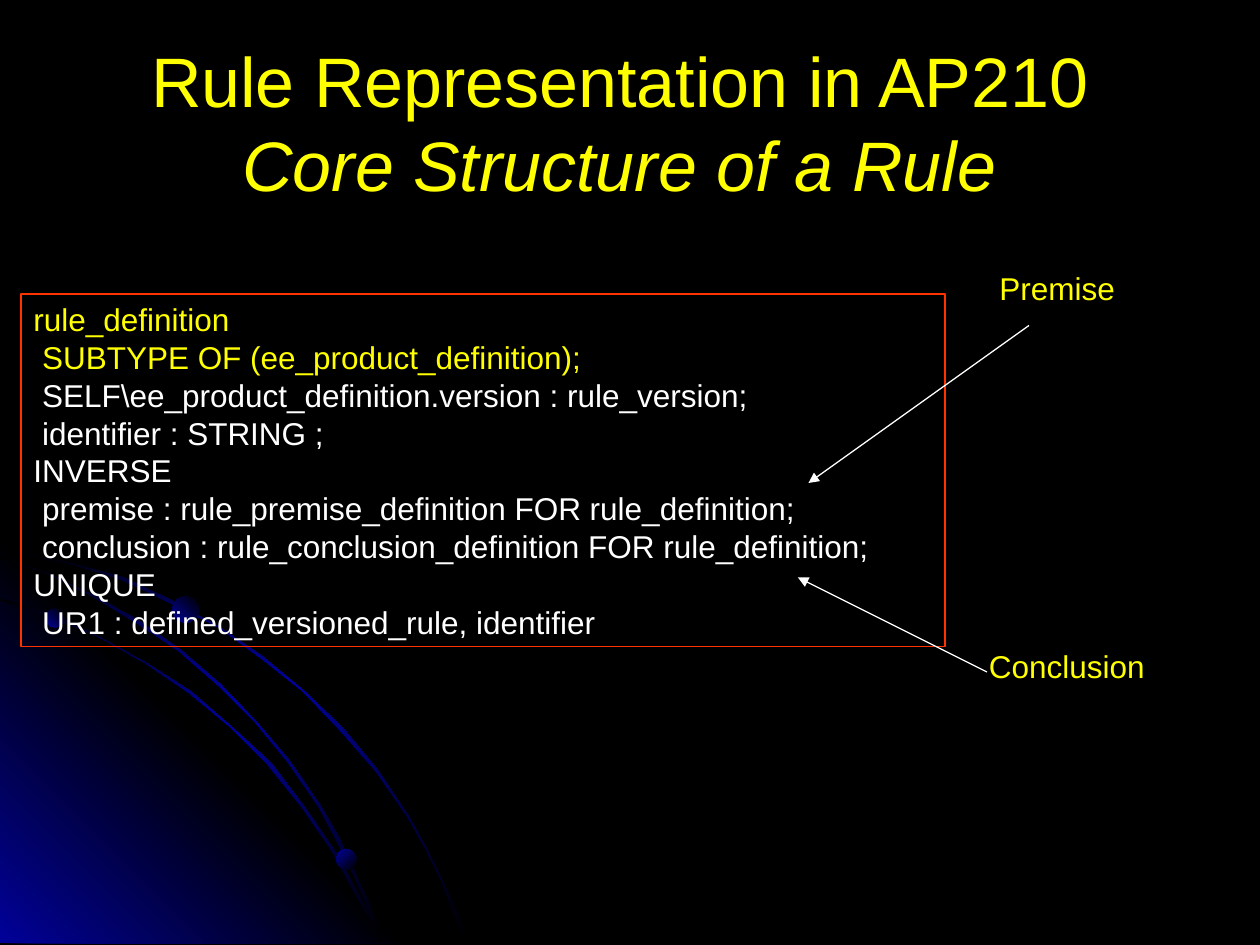
from lxml.etree import SubElement
from pptx import Presentation
from pptx.dml.color import RGBColor
from pptx.enum.shapes import MSO_CONNECTOR, MSO_SHAPE
from pptx.enum.text import MSO_ANCHOR, PP_ALIGN
from pptx.oxml.ns import qn
from pptx.util import Pt

YELLOW, WHITE, BLACK, BLUE, RED = "FFFF00", "FFFFFF", "000000", "010199", "FF3300"

TITLE = [("Rule Representation in AP210", False), ("Core Structure of a Rule", True)]
CODE = [
    ("rule_definition", YELLOW),
    (" SUBTYPE OF (ee_product_definition);", YELLOW),
    (" SELF\\ee_product_definition.version : rule_version;", WHITE),
    (" identifier : STRING ;", WHITE),
    ("INVERSE", WHITE),
    (" premise : rule_premise_definition FOR rule_definition;", WHITE),
    (" conclusion : rule_conclusion_definition FOR rule_definition;", WHITE),
    ("UNIQUE", WHITE),
    (" UR1 : defined_versioned_rule, identifier", WHITE),
]
LABELS = [("Premise", (564, 150, 96, 28.8)), ("Conclusion", (558, 366, 120, 28.8))]
ARROWS = [(588, 186, 462, 276), (564, 384, 456, 330)]

OUTER_ARC = [(0, 313.2), (20.2, 317.5), (41, 321.8), (70.6, 330.5), (97.9, 343.4),
             (125.3, 357.8), (150.5, 375.1), (174.2, 394.6), (195.8, 416.2), (216, 439.9),
             (234, 466.6), (244.1, 484.6), (253.4, 502.6), (260.6, 520.6), (267.8, 538.6)]
INNER_ARC = [(0, 342), (29.5, 351.4), (56.9, 363.6), (84.2, 378.7), (109.4, 395.3),
             (132.5, 414.7), (154.8, 436.3), (174.2, 460.8), (191.5, 486.7), (205.9, 512.6),
             (213.1, 525.6), (218.2, 538.6)]
MIDDLE_ARC = [(0, 318.2), (28.1, 327.6), (54.7, 340.6), (79.9, 355), (103.7, 371.5),
              (126, 391), (146.9, 412.6), (164.9, 434.2), (182.9, 460.1), (193.7, 478.8),
              (203, 499), (211.7, 518.4), (218.2, 538.6)]
CORNER = [(0, 307.4), (231.8, 539.3), (0, 539.3)]
PLANETS = [(25.9, 347.8, 10.8, 135), (192.2, 485.3, 11.5, 225), (98.6, 340.6, 15.1, 135)]


def color(value):
    return RGBColor.from_string(value)


def shade(shape, colors, angle):
    shape.shadow.inherit = False
    shape.line.fill.background()
    shape.fill.background()
    properties = shape._element.spPr
    empty = properties.find(qn("a:noFill"))
    gradient = empty.makeelement(qn("a:gradFill"), {"rotWithShape": "1"})
    properties.replace(empty, gradient)
    stops = SubElement(gradient, qn("a:gsLst"))
    for index, value in enumerate(colors):
        position = index * 100000 // (len(colors) - 1)
        stop = SubElement(stops, qn("a:gs"), pos=str(position))
        SubElement(stop, qn("a:srgbClr"), val=value)
    SubElement(gradient, qn("a:lin"), ang=str(angle * 60000), scaled="0")


def add_outline(page, points, colors, angle):
    builder = page.shapes.build_freeform(*points[0], scale=Pt(1))
    builder.add_line_segments(points[1:], close=True)
    shade(builder.convert_to_shape(), colors, angle)


def add_arc(page, edge):
    lower = [(max(0, x - 1.4), y + 0.7) for x, y in edge]
    add_outline(page, edge + lower[::-1], [BLACK, BLUE, BLACK], 225)


def add_text(para, text, size=18, fill=YELLOW, italic=False, align=PP_ALIGN.LEFT, spacing=21.6):
    para.alignment = align
    para.line_spacing = Pt(spacing)
    span = para.add_run()
    span.text = text
    span.font.name = "Arial"
    span.font.size = Pt(size)
    span.font.italic = italic
    span.font.color.rgb = color(fill)


def add_box(page, place, wrap=True):
    box = page.shapes.add_textbox(*map(Pt, place))
    box.text_frame.word_wrap = wrap
    return box


def add_arrow(page, ends):
    arrow = page.shapes.add_connector(MSO_CONNECTOR.STRAIGHT, *map(Pt, ends))
    arrow.line.color.rgb = color(WHITE)
    arrow.line.width = Pt(0.75)
    SubElement(arrow.line._get_or_add_ln(), qn("a:tailEnd"), type="triangle")
    SubElement(arrow._element.spPr, qn("a:effectLst"))


def main():
    deck = Presentation()
    deck.slide_width, deck.slide_height = Pt(720), Pt(540)
    page = deck.slides.add_slide(deck.slide_layouts[6])
    page.background.fill.solid()
    page.background.fill.fore_color.rgb = color(BLACK)

    add_arc(page, OUTER_ARC)
    add_outline(page, CORNER, [BLUE, BLACK, BLUE], 135)
    add_arc(page, INNER_ARC)
    add_arc(page, MIDDLE_ARC)
    for left, top, size, angle in PLANETS:
        planet = page.shapes.add_shape(MSO_SHAPE.OVAL, *map(Pt, (left, top, size, size)))
        shade(planet, [BLACK, BLUE], angle)

    title = add_box(page, (30, 24.5, 648, 90)).text_frame
    title.vertical_anchor = MSO_ANCHOR.MIDDLE
    heading = title.paragraphs[0]
    for index, (text, italic) in enumerate(TITLE):
        if index:
            heading.add_line_break()
        add_text(heading, text, size=40, italic=italic, align=PP_ALIGN.CENTER, spacing=48)

    code = page.shapes.add_shape(MSO_SHAPE.RECTANGLE, *map(Pt, (12, 168, 528, 201.6)))
    code.shadow.inherit = False
    code.fill.background()
    code.line.color.rgb = color(RED)
    code.line.width = Pt(0.75)
    frame = code.text_frame
    frame.word_wrap = True
    frame.vertical_anchor = MSO_ANCHOR.TOP
    for index, (text, fill) in enumerate(CODE):
        para = frame.add_paragraph() if index else frame.paragraphs[0]
        add_text(para, text, fill=fill)

    for text, place in LABELS:
        add_text(add_box(page, place).text_frame.paragraphs[0], text)
    for ends in ARROWS:
        add_arrow(page, ends)

    deck.save("out.pptx")


if __name__ == "__main__":
    main()
